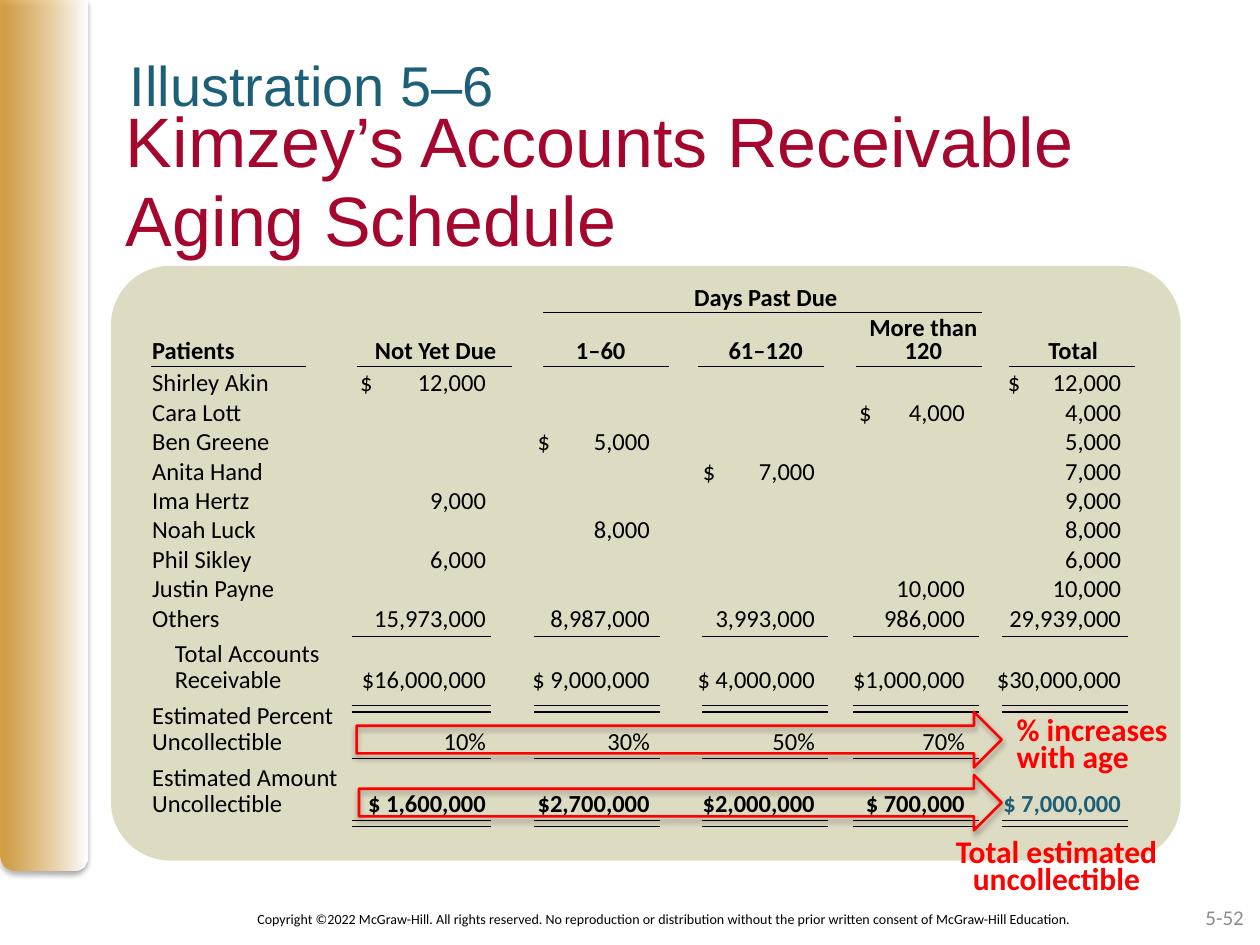
from dataclasses import dataclass

from lxml.etree import SubElement
from pptx import Presentation
from pptx.dml.color import RGBColor
from pptx.enum.shapes import MSO_CONNECTOR, MSO_SHAPE
from pptx.enum.text import MSO_ANCHOR, PP_ALIGN
from pptx.oxml.ns import qn
from pptx.util import Inches, Pt

COLORS = {
    "gold": "D49323", "white": "FFFFFF", "black": "000000", "gray": "8C8C8C",
    "crimson": "A5062D", "teal": "1D5F76", "sand": "D4D0B0", "red": "FF0000",
}

# Tab stops, in inches from the left edge of the schedule's text
HEADING_STOPS = [2.25, 3.56, 4.87, 6.12, 7.31]
DOLLAR_STOPS = [1.65, 3.06, 4.37, 5.61, 6.79]
AMOUNT_STOPS = [2.65, 3.95, 5.26, 6.45, 7.69]
NAME_INDENT = 0.18

HEADING_RULES = [(1.2, 2.43), (2.83, 4.06), (4.31, 5.31), (5.54, 6.54), (6.79, 7.79), (8.01, 9.01)]
AMOUNT_RULES = [(2.79, 3.9), (4.24, 5.24), (5.57, 6.57), (6.77, 7.77), (7.95, 8.95)]


@dataclass
class Row:
    name: str
    amounts: tuple = ()
    spacing: float = 1.0
    heading: bool = False


@dataclass
class Callout:
    box: tuple
    lines: tuple
    align: PP_ALIGN


ROWS = [
    Row("", ("", "", "Days Past Due"), heading=True),
    Row("", ("", "", "", "More than"), heading=True),
    Row("Patients", ("Not Yet Due", "1–60", "61–120", "120", "Total"), 0.8, True),
    Row("Shirley Akin", ("$\t12,000", "", "", "", "$\t12,000"), 1.1),
    Row("Cara Lott", ("", "", "", "$\t4,000", "4,000")),
    Row("Ben Greene", ("", "$\t5,000", "", "", "5,000")),
    Row("Anita Hand", ("", "", "$\t7,000", "", "7,000")),
    Row("Ima Hertz", ("9,000", "", "", "", "9,000")),
    Row("Noah Luck", ("", "8,000", "", "", "8,000")),
    Row("Phil Sikley", ("6,000", "", "", "", "6,000")),
    Row("Justin Payne", ("", "", "", "10,000", "10,000")),
    Row("Others", ("15,973,000", "8,987,000", "3,993,000", "986,000", "29,939,000")),
    Row("\tTotal Accounts", spacing=1.2),
    Row("\tReceivable", ("$16,000,000", "$ 9,000,000", "$ 4,000,000", "$1,000,000", "$30,000,000"), 0.9),
    Row("Estimated Percent", spacing=1.2),
    Row("Uncollectible", ("10%", "30%", "50%", "70%"), 0.9),
    Row("Estimated Amount", spacing=1.2),
    Row("Uncollectible", spacing=0.9),
]
ESTIMATES = "\t$ 1,600,000\t$2,700,000\t$2,000,000\t$ 700,000\t"

CALLOUTS = [
    Callout((7.97, 5.68, 1.47, 0.54), ("% increases", "with age"), PP_ALIGN.LEFT),
    Callout((7.48, 6.65, 1.81, 0.54), ("Total estimated", "uncollectible"), PP_ALIGN.CENTER),
]


def rgb(color: str) -> RGBColor:
    return RGBColor.from_string(COLORS[color])


def write(paragraph, text: str, *, size: float, color: str = "black", font: str = "Calibri",
          bold: bool = False, align=None, spacing=None) -> None:
    """Append a formatted run; alignment and spacing apply to the whole paragraph."""
    run = paragraph.add_run()
    run.text = text
    run.font.size, run.font.name, run.font.bold = Pt(size), font, bold
    run.font.color.rgb = rgb(color)
    if align is not None:
        paragraph.alignment = align
    if spacing is not None:
        paragraph.line_spacing = spacing


def add_frame(slide, box: tuple, *, wrap: bool = True, inset: bool = True, anchor=MSO_ANCHOR.TOP):
    frame = slide.shapes.add_textbox(*map(Inches, box)).text_frame
    frame.word_wrap = wrap
    frame.vertical_anchor = anchor
    if not inset:
        frame.margin_left = frame.margin_right = frame.margin_top = frame.margin_bottom = 0
    return frame


def next_paragraph(frame, index: int):
    return frame.add_paragraph() if index else frame.paragraphs[0]


def add_plain_shape(slide, kind, box: tuple):
    shape = slide.shapes.add_shape(kind, *map(Inches, box))
    shape.shadow.inherit = False
    shape.line.fill.background()
    return shape


def set_alpha(color_element, percent: int) -> None:
    SubElement(color_element, qn("a:alpha"), val=str(percent * 1000))


def add_soft_shadow(shape) -> None:
    effects = shape._element.spPr.find(qn("a:effectLst"))
    shadow = SubElement(effects, qn("a:outerShdw"), blurRad=str(Pt(3.1)), dist=str(Pt(1.8)),
                        dir="5400000", rotWithShape="0")
    set_alpha(SubElement(shadow, qn("a:srgbClr"), val=COLORS["black"]), 35)


def add_rules(slide, spans: list, y: float) -> None:
    for start, end in spans:
        rule = slide.shapes.add_connector(
            MSO_CONNECTOR.STRAIGHT, Inches(start), Inches(y), Inches(end), Inches(y))
        rule.line.color.rgb = rgb("black")
        rule.line.width = Pt(0.75)
        SubElement(rule._element.spPr, qn("a:effectLst"))


def row_stops(row: Row) -> list:
    """List the (position, alignment) tab stops that a row's cells need."""
    if row.heading:
        return [(stop, "ctr") for stop in HEADING_STOPS]
    stops = [(NAME_INDENT, "l")] if row.name.startswith("\t") else []
    amounts = row.amounts or ("",) * len(AMOUNT_STOPS)
    for amount, dollar, right in zip(amounts, DOLLAR_STOPS, AMOUNT_STOPS):
        if amount.startswith("$\t"):
            stops.append((dollar, "l"))
        stops.append((right, "r"))
    return stops


def add_schedule(slide) -> None:
    frame = add_frame(slide, (1.11, 2.19, 7.9, 4.46))
    for index, row in enumerate(ROWS):
        paragraph = next_paragraph(frame, index)
        tabs = SubElement(paragraph._p.get_or_add_pPr(), qn("a:tabLst"))
        for position, align in row_stops(row):
            SubElement(tabs, qn("a:tab"), pos=str(Inches(position)), algn=align)
        write(paragraph, "\t".join((row.name, *row.amounts)), size=14,
              bold=row.heading, spacing=row.spacing)
    write(paragraph, ESTIMATES, size=14, bold=True)
    write(paragraph, "$ 7,000,000", size=14, bold=True, color="teal")


def add_arrow(slide, box: tuple) -> None:
    arrow = add_plain_shape(slide, MSO_SHAPE.RIGHT_ARROW, box)
    arrow.fill.background()
    arrow.line.color.rgb = rgb("red")
    arrow.line.width = Pt(1.5)
    add_soft_shadow(arrow)


def add_side_bar(slide) -> None:
    bar = add_plain_shape(slide, MSO_SHAPE.ROUND_2_SAME_RECTANGLE, (0, 0, 0.69, 6.91))
    bar.adjustments[0], bar.adjustments[1] = 0, 0.17
    bar.fill.gradient()
    bar.fill.gradient_angle = 0
    for stop, color in zip(bar.fill.gradient_stops, ("gold", "white")):
        stop.color.rgb = rgb(color)
    set_alpha(next(bar._element.spPr.iter(qn("a:srgbClr"))), 80)
    add_soft_shadow(bar)


def add_panel(slide) -> None:
    panel = add_plain_shape(slide, MSO_SHAPE.ROUNDED_RECTANGLE, (0.88, 2.11, 8.49, 4.72))
    panel.adjustments[0] = 0.1
    panel.fill.solid()
    panel.fill.fore_color.rgb = rgb("sand")
    set_alpha(next(panel._element.spPr.iter(qn("a:srgbClr"))), 75)


def main() -> None:
    presentation = Presentation()
    presentation.slide_width, presentation.slide_height = Inches(10), Inches(7.5)
    slide = presentation.slides.add_slide(presentation.slide_layouts[6])

    add_side_bar(slide)
    copyright_line = add_frame(slide, (1.46, 7.18, 7.63, 0.24))
    write(copyright_line.paragraphs[0],
          "Copyright ©2022 McGraw-Hill. All rights reserved. No reproduction or distribution "
          "without the prior written consent of McGraw-Hill Education.",
          size=8, align=PP_ALIGN.CENTER)
    page_number = add_frame(slide, (7.64, 7.08, 2.33, 0.4), anchor=MSO_ANCHOR.MIDDLE)
    write(page_number.paragraphs[0], "5-52", size=12, color="gray", align=PP_ALIGN.RIGHT)
    title = add_frame(slide, (1, 0.82, 9, 1.25), inset=False)
    write(title.paragraphs[0], "Kimzey’s Accounts Receivable Aging Schedule",
          size=40, color="crimson", font="Arial", spacing=0.95)
    illustration = add_frame(slide, (1.03, 0.4, 5.76, 0.46), inset=False)
    write(illustration.paragraphs[0], "Illustration 5–6", size=32, color="teal", font="Arial")

    add_panel(slide)
    add_schedule(slide)
    add_rules(slide, HEADING_RULES, 2.91)
    add_rules(slide, [(4.31, 7.79)], 2.48)
    for y in (5.05, 5.6, 5.65, 6.51, 6.56):
        add_rules(slide, AMOUNT_RULES, y)
    add_rules(slide, AMOUNT_RULES[:-1], 6.02)

    add_arrow(slide, (2.83, 5.65, 5.12, 0.44))
    add_arrow(slide, (2.85, 6.15, 5.1, 0.44))
    for callout in CALLOUTS:
        frame = add_frame(slide, callout.box, wrap=False)
        for index, line in enumerate(callout.lines):
            write(next_paragraph(frame, index), line, size=18, color="red", bold=True,
                  align=callout.align, spacing=Pt(15))
    presentation.save("out.pptx")


if __name__ == "__main__":
    main()
